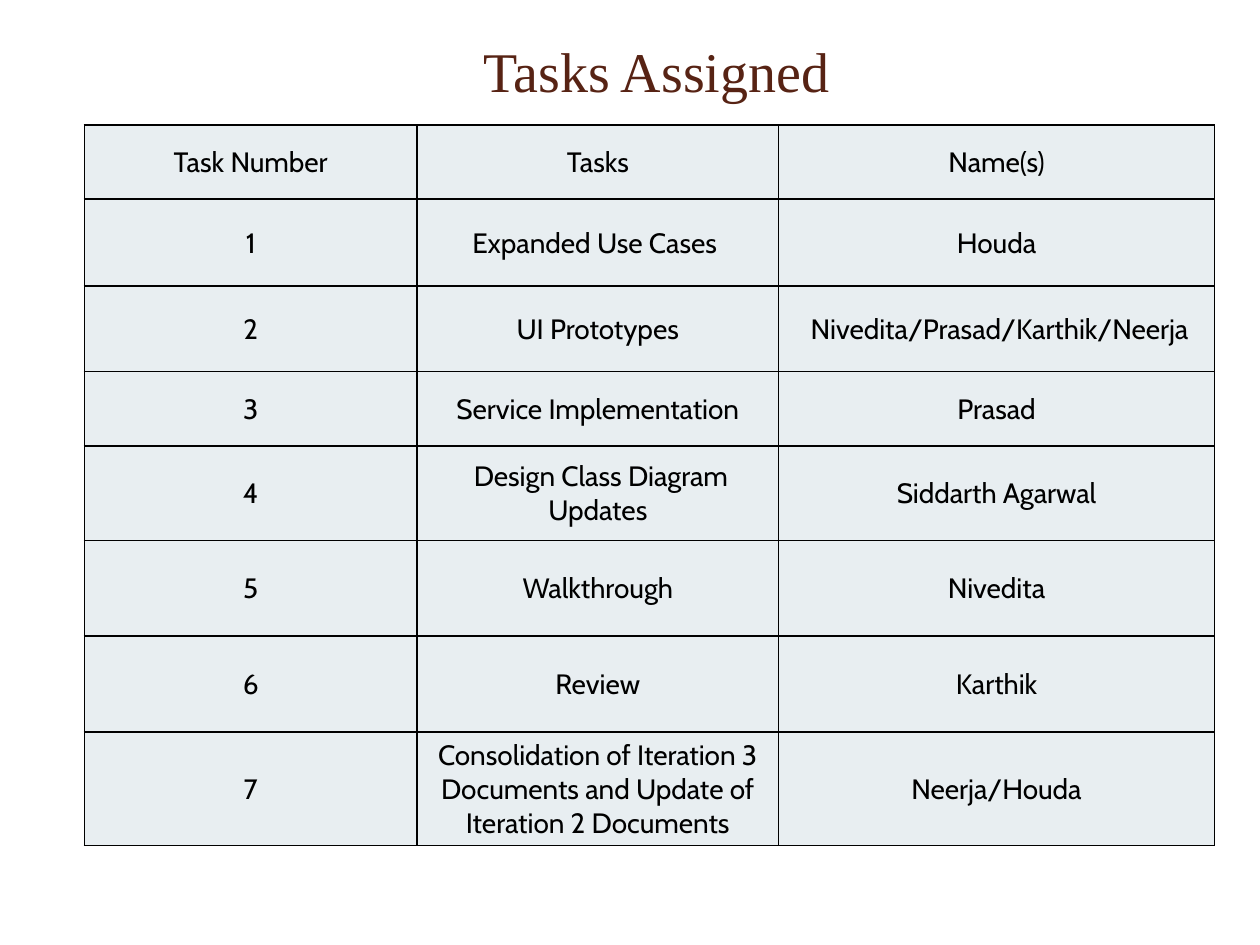
from pptx import Presentation
from pptx.dml.color import RGBColor
from pptx.enum.text import MSO_ANCHOR, PP_ALIGN
from pptx.oxml import parse_xml
from pptx.oxml.ns import nsdecls
from pptx.util import Inches, Pt

BROWN = RGBColor(0x57, 0x23, 0x14)
BLACK = RGBColor(0, 0, 0)
PALE = RGBColor(0xE8, 0xEE, 0xF1)

COLS = [2.64, 2.87, 3.46]
ROWS = [0.59, 0.69, 0.68, 0.59, 0.75, 0.76, 0.76, 0.9]
TASKS = [
    ("Expanded Use Cases ", "Houda"),
    ("UI Prototypes", "\u00a0Nivedita/Prasad/Karthik/Neerja".replace("\u00a0", " ")),
    ("Service Implementation", "Prasad"),
    (" Design Class Diagram Updates", "Siddarth Agarwal"),
    ("Walkthrough", "Nivedita"),
    ("Review", "Karthik"),
    ("Consolidation of Iteration 3 Documents and Update of Iteration 2 Documents",
     "Neerja/Houda"),
]


def style(frame, face, size, color):
    par = frame.paragraphs[0]
    par.alignment = PP_ALIGN.CENTER
    font = par.runs[0].font
    font.name, font.size = face, Pt(size)
    font.color.rgb = color


def border(cell):
    props = cell._tc.get_or_add_tcPr()
    for side in "LRTB":
        props.append(parse_xml(
            f'<a:ln{side} {nsdecls("a")} w="{Pt(1)}"><a:solidFill>'
            f'<a:srgbClr val="{BLACK}"/></a:solidFill></a:ln{side}>'))


deck = Presentation()
deck.slide_width, deck.slide_height = Inches(10), Inches(7.5)
slide = deck.slides.add_slide(deck.slide_layouts[5])

# Title
title = slide.shapes.title
title.left, title.top = Inches(1.46), Inches(0.29)
title.width, title.height = Inches(7.5), Inches(0.58)
title.text_frame.text = "Tasks Assigned"
title.text_frame.vertical_anchor = MSO_ANCHOR.BOTTOM
style(title.text_frame, "Times New Roman", 32, BROWN)

# Task table
table = slide.shapes.add_table(
    len(ROWS), len(COLS), Inches(0.67), Inches(0.99),
    Inches(sum(COLS)), Inches(sum(ROWS))).table
for col, width in zip(table.columns, COLS):
    col.width = Inches(width)
for row, height in zip(table.rows, ROWS):
    row.height = Inches(height)

# Cells, with the tasks numbered from one
lines = [("Task Number", "Tasks", "Name(s)")]
lines += [(str(num), *task) for num, task in enumerate(TASKS, 1)]
for row, line in zip(table.rows, lines):
    for cell, words in zip(row.cells, line):
        cell.text_frame.text = words
        style(cell.text_frame, "Cabin", 16, BLACK)
        cell.vertical_anchor = MSO_ANCHOR.MIDDLE
        cell.margin_left = cell.margin_right = cell.margin_top = Inches(0.01)
        cell.margin_bottom = 0
        border(cell)
        cell.fill.solid()
        cell.fill.fore_color.rgb = PALE

deck.save("out.pptx")
